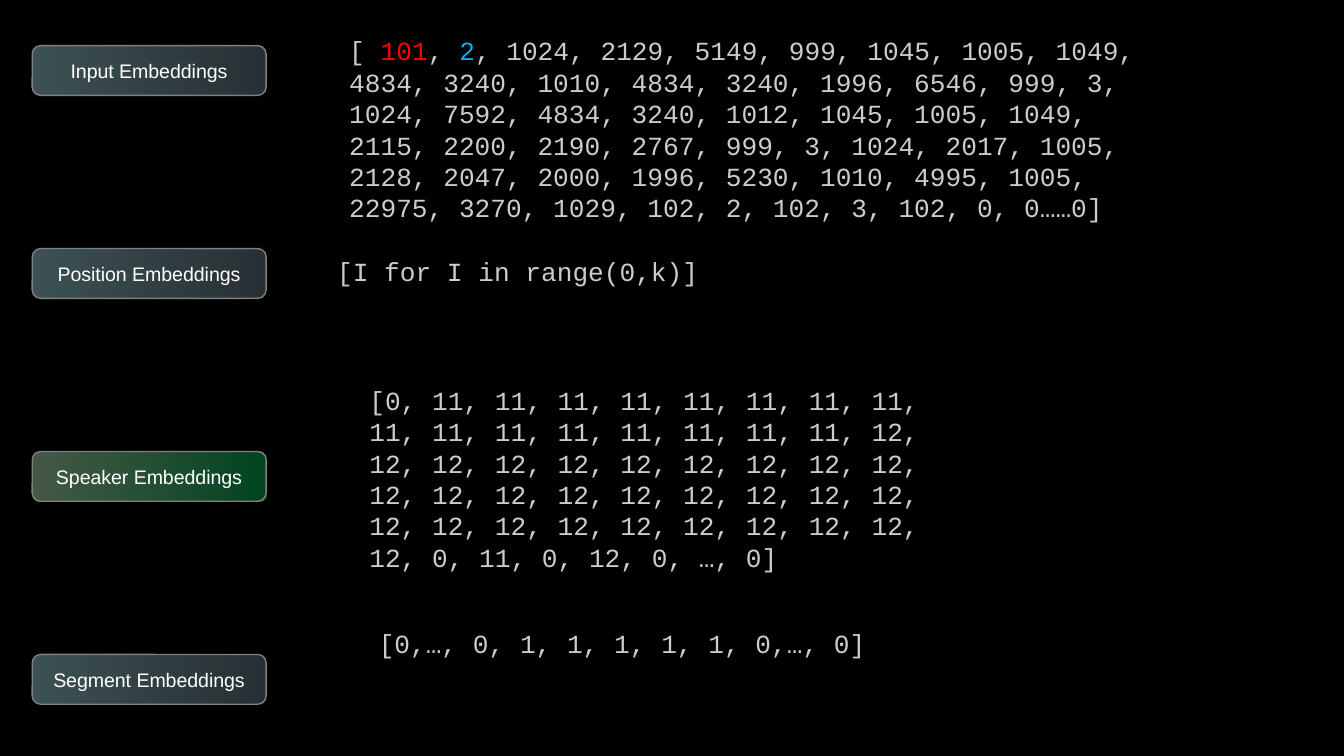
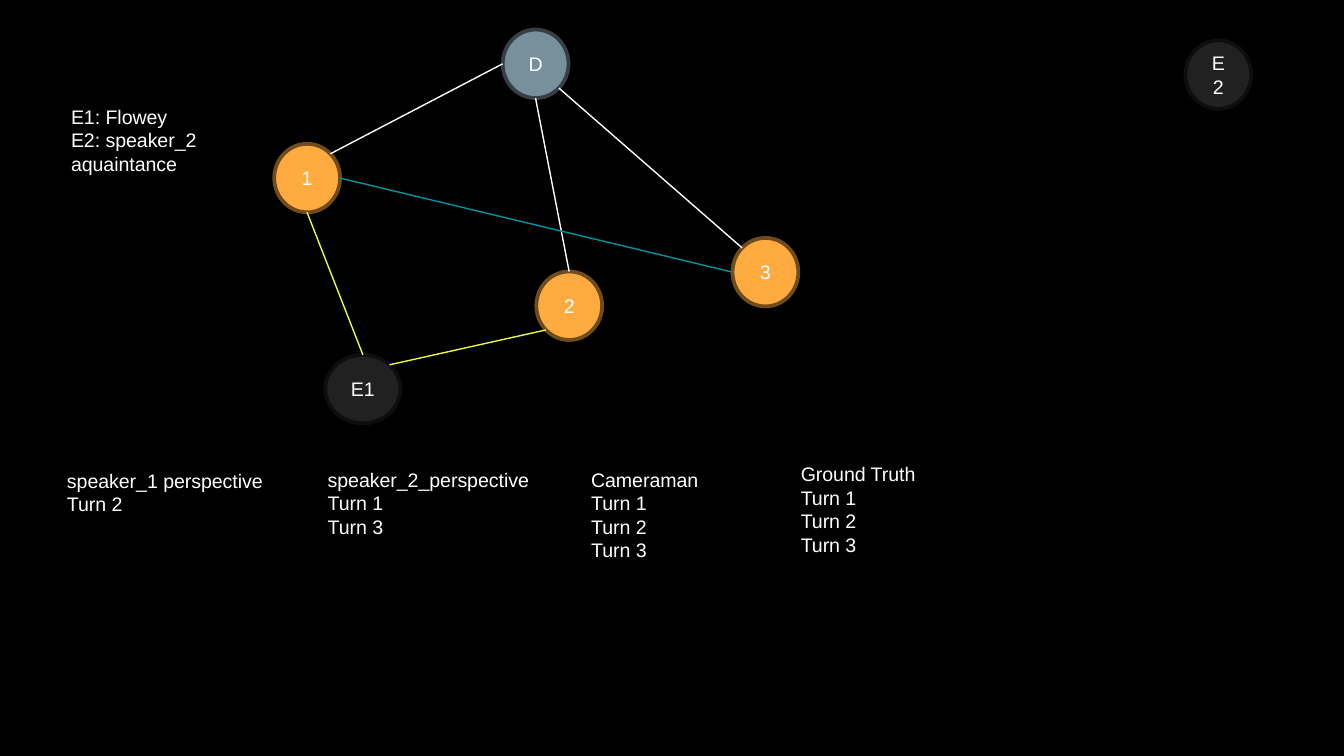
import math

import pptx
import pptx.dml.color
import pptx.enum.shapes
import pptx.enum.text
import pptx.oxml
import pptx.oxml.ns
import pptx.util
from lxml import etree

Inches = pptx.util.Inches
Pt = pptx.util.Pt
SHAPES = pptx.enum.shapes.MSO_SHAPE
TEXT = pptx.enum.text

SLIDE_W = 10
SLIDE_H = SLIDE_W * 9 / 16
SANS, MONO = "Arial", "Courier New"
LABEL_SIZE, CODE_SIZE = 10.5, 14
LABEL_LEFT, LABEL_TOP, LABEL_PITCH = 0.24, 0.34, 1.51
LABEL_W, LABEL_H = 1.74, 0.37
NODE_W, NODE_H = 0.49, 0.51

COLORS = {
    "background": "000000", "text": "FFFFFF", "code": "CCCCCC",
    "start token": "FF0000", "speaker token": "00B0F0",
    "label line": "808080",
    "turn": "FFAB40", "turn line": "704B1C",
    "dialogue": "78909C", "dialogue line": "353F44",
    "entity": "212121", "entity line": "0E0E0E",
    "belongs": "FFFFFF", "mentions": "EDFE3B", "same speaker": "0094A3",
}
# Gradient stops: colour and opacity in percent
SLATE = [("BAF8FF", 33), ("78909C", 33)]
GREEN = [("C8FFCF", 35), ("00B050", 39)]

# Sites on an ellipse, as degrees anticlockwise from the right
RIGHT, TOP_RIGHT, TOP, TOP_LEFT = 0, 45, 90, 135
LEFT, BOTTOM_LEFT, BOTTOM, BOTTOM_RIGHT = 180, 225, 270, 315

INPUT_TOKENS = (
    ", 1024, 2129, 5149, 999, 1045, 1005, 1049, 4834, 3240, 1010, 4834, "
    "3240, 1996, 6546, 999, 3, 1024, 7592, 4834, 3240, 1012, 1045, 1005, "
    "1049, 2115, 2200, 2190, 2767, 999, 3, 1024, 2017, 1005, 2128, 2047, "
    "2000, 1996, 5230, 1010, 4995, 1005, 22975, 3270, 1029, 102, 2, 102, "
    "3, 102, 0, 0……0]")
SPEAKER_IDS = ["0"] + ["11"] * 16 + ["12"] * 29 + ["0", "11", "0", "12", "0", "…", "0"]


def rgb(name):
    """Return the colour of a palette entry."""
    return pptx.dml.color.RGBColor.from_string(COLORS[name])


def set_font(paragraph, face, size, color):
    """Set the font shared by all runs of a paragraph."""
    paragraph.font.name = face
    paragraph.font.size = Pt(size)
    paragraph.font.color.rgb = rgb(color)


def add_caption(shape, text):
    """Write one centred line in the middle of a shape."""
    shape.shadow.inherit = False
    shape.text_frame.vertical_anchor = TEXT.MSO_ANCHOR.MIDDLE
    paragraph = shape.text_frame.paragraphs[0]
    paragraph.text = text
    paragraph.alignment = TEXT.PP_ALIGN.CENTER
    set_font(paragraph, SANS, LABEL_SIZE, "text")


def add_label(slide, row, text, stops):
    """Add a rounded label with a translucent gradient in the given row."""
    label = slide.shapes.add_shape(
        SHAPES.ROUNDED_RECTANGLE, Inches(LABEL_LEFT),
        Inches(LABEL_TOP + row * LABEL_PITCH), Inches(LABEL_W), Inches(LABEL_H))
    label.fill.gradient()
    label.fill.gradient_angle = 0
    for stop, (color, _) in zip(label.fill.gradient_stops, stops):
        stop.color.rgb = pptx.dml.color.RGBColor.from_string(color)
    tints = label.element.spPr.iter(pptx.oxml.ns.qn("a:srgbClr"))
    for tint, (_, opacity) in zip(list(tints), stops):
        alpha = etree.SubElement(tint, pptx.oxml.ns.qn("a:alpha"))
        alpha.set("val", str(opacity * 1000))
    label.line.color.rgb = rgb("label line")
    label.line.width = Pt(0.75)
    frame = label.text_frame
    frame.margin_left = frame.margin_right = Inches(0.1)
    frame.margin_top = frame.margin_bottom = Inches(0.1)
    add_caption(label, text)


def add_text_frame(slide, left, top, width, height, wrap):
    """Add a text box that grows with its text and return its frame."""
    box = slide.shapes.add_textbox(*map(Inches, (left, top, width, height)))
    frame = box.text_frame
    frame.word_wrap = wrap
    frame.auto_size = TEXT.MSO_AUTO_SIZE.SHAPE_TO_FIT_TEXT
    return frame


def add_code(slide, left, top, width, height, parts):
    """Add a wrapped monospaced vector from (text, colour or None) parts."""
    frame = add_text_frame(slide, left, top, width, height, True)
    paragraph = frame.paragraphs[0]
    set_font(paragraph, MONO, CODE_SIZE, "code")
    for text, color in parts:
        run = paragraph.add_run()
        run.text = text
        if color:
            run.font.color.rgb = rgb(color)


def add_note(slide, left, top, width, height, lines):
    """Add an unwrapped note with one paragraph for each line."""
    frame = add_text_frame(slide, left, top, width, height, False)
    frame.text = "\n".join(lines)
    for paragraph in frame.paragraphs:
        set_font(paragraph, SANS, LABEL_SIZE, "text")


def add_node(slide, text, role, left, top, width=NODE_W):
    """Add a round graph node coloured by its role."""
    node = slide.shapes.add_shape(
        SHAPES.OVAL, *map(Inches, (left, top, width, NODE_H)))
    node.fill.solid()
    node.fill.fore_color.rgb = rgb(role)
    node.line.color.rgb = rgb(role + " line")
    node.line.width = Pt(2)
    add_caption(node, text)
    return node


def rim_point(node, degrees):
    """Return the point on a node's rim at an angle."""
    angle = math.radians(degrees)
    x = node.left + node.width / 2 * (1 + math.cos(angle))
    y = node.top + node.height / 2 * (1 - math.sin(angle))
    return round(x), round(y)


def add_edge(slide, start, start_site, end, end_site, relation):
    """Join two nodes with a thin line coloured by their relation."""
    edge = slide.shapes.add_connector(
        pptx.enum.shapes.MSO_CONNECTOR.STRAIGHT,
        *rim_point(start, start_site), *rim_point(end, end_site))
    edge.line.color.rgb = rgb(relation)
    edge.line.width = Pt(0.75)
    etree.SubElement(edge.element.spPr, pptx.oxml.ns.qn("a:effectLst"))


def build_embeddings(slide):
    """Show the four embeddings and their vectors."""
    labels = [("Input", SLATE), ("Position", SLATE),
              ("Speaker", GREEN), ("Segment", SLATE)]
    for row, (name, stops) in enumerate(labels):
        add_label(slide, row, name + " Embeddings", stops)

    add_code(slide, 2.5, 0.21, 6.39, 1.51, [
        ("[ ", None), ("101", "start token"), (", ", None),
        ("2", "speaker token"), (INPUT_TOKENS, None)])
    add_code(slide, 2.41, 1.85, 6.39, 0.34, [("[I for I in range(0,k)]", None)])
    add_code(slide, 2.65, 2.81, 4.56, 1.51,
             [("[" + ", ".join(SPEAKER_IDS) + "]", None)])
    add_code(slide, 2.72, 4.62, 4.56, 0.34,
             [("[0,…, 0, 1, 1, 1, 1, 1, 0,…, 0]", None)])


def build_graph(slide):
    """Show the dialogue graph and the turns each view contains."""
    turn_1 = add_node(slide, "1", "turn", 2.04, 1.07)
    turn_2 = add_node(slide, "2", "turn", 3.99, 2.02)
    turn_3 = add_node(slide, "3", "turn", 5.45, 1.77)
    dialogue = add_node(slide, "D", "dialogue", 3.74, 0.22)
    entity_1 = add_node(slide, "E1", "entity", 2.42, 2.64, 0.56)
    add_node(slide, "E2", "entity", 8.82, 0.3)

    for edge in [
        (turn_1, BOTTOM, entity_1, TOP, "mentions"),
        (turn_1, TOP_RIGHT, dialogue, LEFT, "belongs"),
        (turn_2, TOP, dialogue, BOTTOM, "belongs"),
        (turn_2, BOTTOM_LEFT, entity_1, TOP_RIGHT, "mentions"),
        (turn_3, TOP_LEFT, dialogue, BOTTOM_RIGHT, "belongs"),
        (turn_1, RIGHT, turn_3, LEFT, "same speaker"),
    ]:
        add_edge(slide, *edge)

    add_note(slide, 0.43, 0.73, 1.15, 0.63,
             ["E1: Flowey", "E2: speaker_2", "aquaintance"])
    for left, top, width, height, view, turns in [
        (0.4, 3.44, 1.69, 0.63, "speaker_1 perspective", [2]),
        (2.34, 3.43, 1.73, 0.63, "speaker_2_perspective", [1, 3]),
        (4.3, 3.43, 1.02, 0.81, "Cameraman", [1, 2, 3]),
        (5.86, 3.39, 1.08, 0.81, "Ground Truth", [1, 2, 3]),
    ]:
        add_note(slide, left, top, width, height,
                 [view] + [f"Turn {turn}" for turn in turns])


def main():
    """Build both slides on a shared black background."""
    deck = pptx.Presentation()
    deck.slide_width, deck.slide_height = Inches(SLIDE_W), Inches(SLIDE_H)
    backdrop = deck.slide_master.background.fill
    backdrop.solid()
    backdrop.fore_color.rgb = rgb("background")
    blank = deck.slide_layouts[6]
    for build in (build_embeddings, build_graph):
        build(deck.slides.add_slide(blank))
    deck.save("out.pptx")


main()
